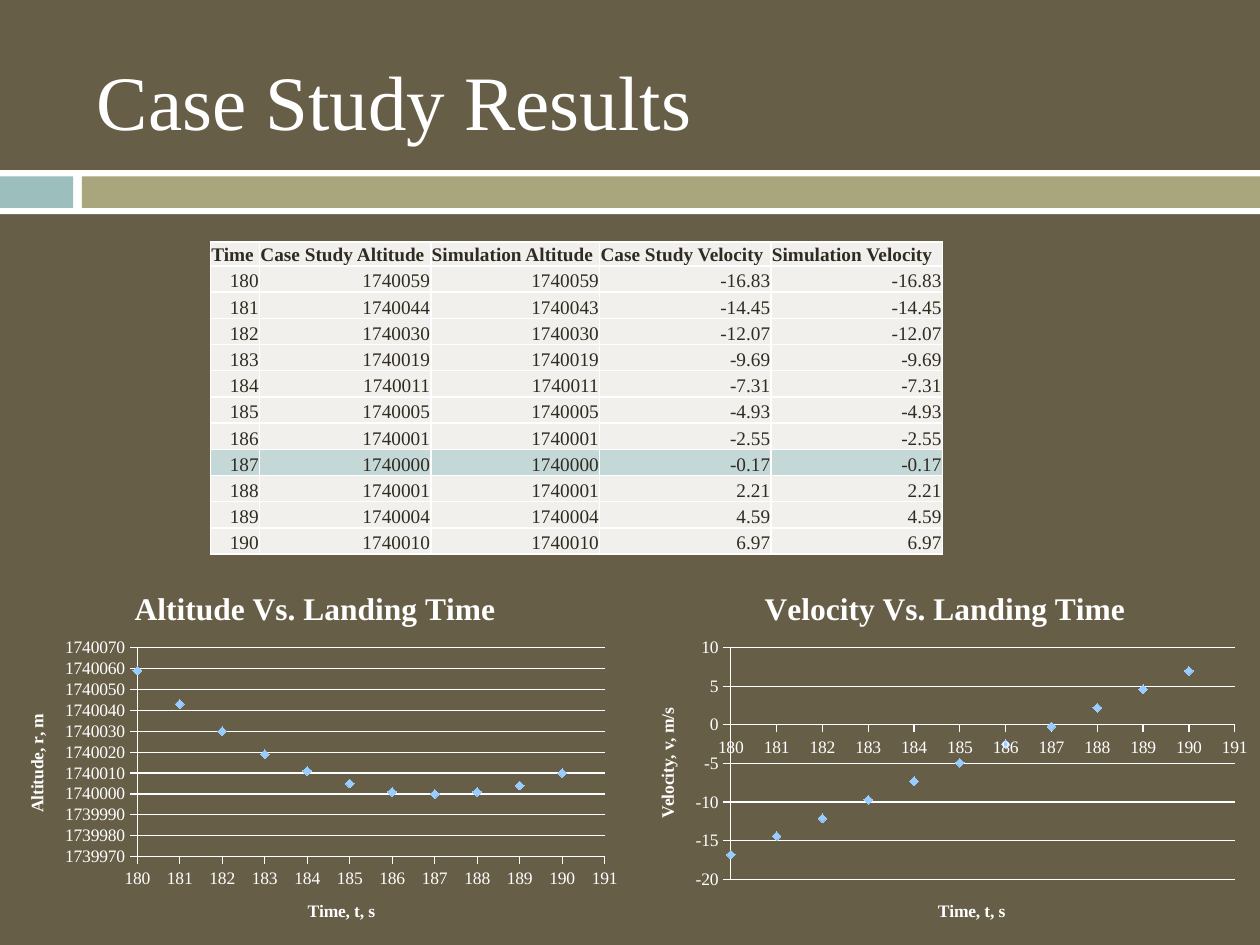
from dataclasses import dataclass

from lxml.etree import SubElement
from pptx import Presentation
from pptx.chart.data import XyChartData
from pptx.dml.color import RGBColor
from pptx.enum.chart import XL_CHART_TYPE, XL_MARKER_STYLE, XL_TICK_MARK
from pptx.enum.shapes import MSO_SHAPE
from pptx.enum.text import MSO_ANCHOR, PP_ALIGN
from pptx.oxml.ns import qn
from pptx.util import Inches, Pt


@dataclass(frozen=True)
class Theme:
    font: str = "Times New Roman"
    background: str = "675E47"
    white: str = "FFFFFF"
    teal: str = "9CBEBD"
    olive: str = "A9A57C"
    dark: str = "2F2B20"
    cell: str = "F1F0EC"
    highlight: str = "C4D8D7"
    marker: str = "99CCFF"
    title_size: int = 44
    chart_title_size: int = 18
    table_size: int = 11
    chart_size: int = 10


def set_values(target, values):
    for name, value in values.items():
        setattr(target, name, value)


class SlideBuilder:
    def __init__(self, slide, theme):
        self.slide = slide
        self.theme = theme
        fill = slide.background.fill
        fill.solid()
        fill.fore_color.rgb = RGBColor.from_string(theme.background)

    def style_font(self, font, size, color, bold=False):
        set_values(font, {"name": self.theme.font, "size": Pt(size), "bold": bold})
        font.color.rgb = RGBColor.from_string(color)

    def bar(self, box, color):
        shape = self.slide.shapes.add_shape(MSO_SHAPE.RECTANGLE, *map(Inches, box))
        shape.shadow.inherit = False
        shape.fill.solid()
        shape.fill.fore_color.rgb = RGBColor.from_string(color)
        shape.line.fill.background()

    def title(self, box, text):
        frame = self.slide.shapes.add_textbox(*map(Inches, box)).text_frame
        set_values(frame, {"word_wrap": True, "vertical_anchor": MSO_ANCHOR.MIDDLE})
        run = frame.paragraphs[0].add_run()
        run.text = text
        self.style_font(run.font, self.theme.title_size, self.theme.white)

    def border_cell(self, cell):
        properties = cell._tc.get_or_add_tcPr()
        for position, side in enumerate(("lnL", "lnR", "lnT", "lnB")):
            line = SubElement(properties, qn(f"a:{side}"), w=str(Pt(1)))
            properties.insert(position, line)
            solid = SubElement(line, qn("a:solidFill"))
            SubElement(solid, qn("a:srgbClr"), val=self.theme.white)

    def table(self, box, rows, widths, heights, highlighted_row):
        shape = self.slide.shapes.add_table(len(rows), len(widths), *map(Inches, box))
        table = shape.table
        for column, width in zip(table.columns, widths):
            column.width = Inches(width)
        for row, height in zip(table.rows, heights):
            row.height = Inches(height)
        margin = Pt(0.5)
        cell_format = {
            "margin_left": margin,
            "margin_right": margin,
            "margin_top": margin,
            "margin_bottom": 0,
            "vertical_anchor": MSO_ANCHOR.BOTTOM,
        }
        for row_index, values in enumerate(rows):
            header = row_index == 0
            color = self.theme.highlight if row_index == highlighted_row else self.theme.cell
            for column_index, value in enumerate(values):
                cell = table.cell(row_index, column_index)
                set_values(cell, cell_format)
                cell.fill.solid()
                cell.fill.fore_color.rgb = RGBColor.from_string(color)
                self.border_cell(cell)
                paragraph = cell.text_frame.paragraphs[0]
                paragraph.alignment = PP_ALIGN.LEFT if header else PP_ALIGN.RIGHT
                run = paragraph.add_run()
                run.text = value
                self.style_font(run.font, self.theme.table_size, self.theme.dark, header)

    def chart_text(self, owner, text, size):
        run = owner.text_frame.paragraphs[0].add_run()
        run.text = text
        self.style_font(run.font, size, self.theme.white, True)

    def axis(self, axis, title, scale, gridlines):
        minimum, maximum, step = scale
        set_values(axis, {
            "minimum_scale": minimum,
            "maximum_scale": maximum,
            "major_unit": step,
            "major_tick_mark": XL_TICK_MARK.OUTSIDE,
            "minor_tick_mark": XL_TICK_MARK.NONE,
            "has_major_gridlines": gridlines,
            "has_title": True,
        })
        set_values(axis.tick_labels, {"number_format": "General", "number_format_is_linked": False})
        self.chart_text(axis.axis_title, title, self.theme.chart_size)
        lines = [axis.format.line]
        if gridlines:
            lines.append(axis.major_gridlines.format.line)
        for line in lines:
            line.color.rgb = RGBColor.from_string(self.theme.white)
            line.width = Pt(0.75)

    def place_plot(self, chart, chart_box, plot_box):
        area = chart._chartSpace.find(f".//{qn('c:plotArea')}")
        for layout in area.findall(qn("c:layout")):
            area.remove(layout)
        layout = SubElement(area, qn("c:layout"))
        area.insert(0, layout)
        manual = SubElement(layout, qn("c:manualLayout"))
        settings = [("layoutTarget", "inner"), ("xMode", "edge"), ("yMode", "edge")]
        chart_size = chart_box[2:] * 2
        settings += [(name, length / total)
                     for name, length, total in zip("xywh", plot_box, chart_size)]
        for name, value in settings:
            SubElement(manual, qn(f"c:{name}"), val=str(value))

    def scatter(self, box, title, value_title, times, values, time_scale, value_scale, plot_box):
        data = XyChartData()
        series_data = data.add_series("Series 1")
        for time, value in zip(times, values):
            series_data.add_data_point(time, value)
        frame = self.slide.shapes.add_chart(XL_CHART_TYPE.XY_SCATTER, *map(Inches, box), data)
        chart = frame.chart
        set_values(chart, {"has_legend": False, "has_title": True})
        self.style_font(chart.font, self.theme.chart_size, self.theme.white)
        self.chart_text(chart.chart_title, title, self.theme.chart_title_size)
        self.axis(chart.category_axis, "Time, t, s", time_scale, False)
        self.axis(chart.value_axis, value_title, value_scale, True)
        plot = chart.plots[0]
        plot.vary_by_categories = False
        series = plot.series[0]
        series.format.line.fill.background()
        set_values(series.marker, {"style": XL_MARKER_STYLE.DIAMOND, "size": 5})
        series.marker.format.fill.solid()
        series.marker.format.fill.fore_color.rgb = RGBColor.from_string(self.theme.marker)
        series.marker.format.line.fill.background()
        self.place_plot(chart, box, plot_box)


theme = Theme()
presentation = Presentation()
set_values(presentation, {"slide_width": Inches(10), "slide_height": Inches(7.5)})
builder = SlideBuilder(presentation.slides.add_slide(presentation.slide_layouts[6]), theme)

for bar_box, bar_color in (
    ((0, 1.35, 10, 0.35), theme.white),
    ((0, 1.4, 0.58, 0.25), theme.teal),
    ((0.65, 1.4, 9.35, 0.25), theme.olive),
):
    builder.bar(bar_box, bar_color)
builder.title((0.67, 0.25, 8.92, 1.08), "Case Study Results")

times = range(180, 191)
case_altitudes = [1740059, 1740044, 1740030, 1740019, 1740011, 1740005,
                  1740001, 1740000, 1740001, 1740004, 1740010]
simulation_altitudes = [1740043 if time == 181 else altitude
                        for time, altitude in zip(times, case_altitudes)]
velocities = [-16.83, -14.45, -12.07, -9.69, -7.31, -4.93, -2.55, -0.17, 2.21, 4.59, 6.97]

time_scale = (180, 191, 1)
chart_top, chart_width, chart_height = 4.52, 5, 3
charts = (
    ("Altitude Vs. Landing Time", "Altitude, r, m", simulation_altitudes,
     (1739970, 1740070, 10), (1.09, 0.62, 3.71, 1.66)),
    ("Velocity Vs. Landing Time", "Velocity, v, m/s", [round(speed, 1) for speed in velocities],
     (-20, 10, 5), (0.8, 0.62, 4, 1.84)),
)
for index, (title, value_title, values, value_scale, plot_box) in enumerate(charts):
    chart_box = (index * chart_width, chart_top, chart_width, chart_height)
    builder.scatter(chart_box, title, value_title, times, values, time_scale, value_scale, plot_box)

header = ["Time", "Case Study Altitude", "Simulation Altitude",
          "Case Study Velocity", "Simulation Velocity"]
records = zip(times, case_altitudes, simulation_altitudes, velocities, velocities)
rows = [header] + [[str(value) for value in record] for record in records]
header_height, body_height = 0.18, 2.29
heights = [header_height] + [body_height / len(times)] * len(times)
builder.table((1.67, 1.92, 5.81, header_height + body_height), rows,
              [0.39, 1.36, 1.34, 1.36, 1.36], heights, 1 + times.index(187))

presentation.save("out.pptx")
